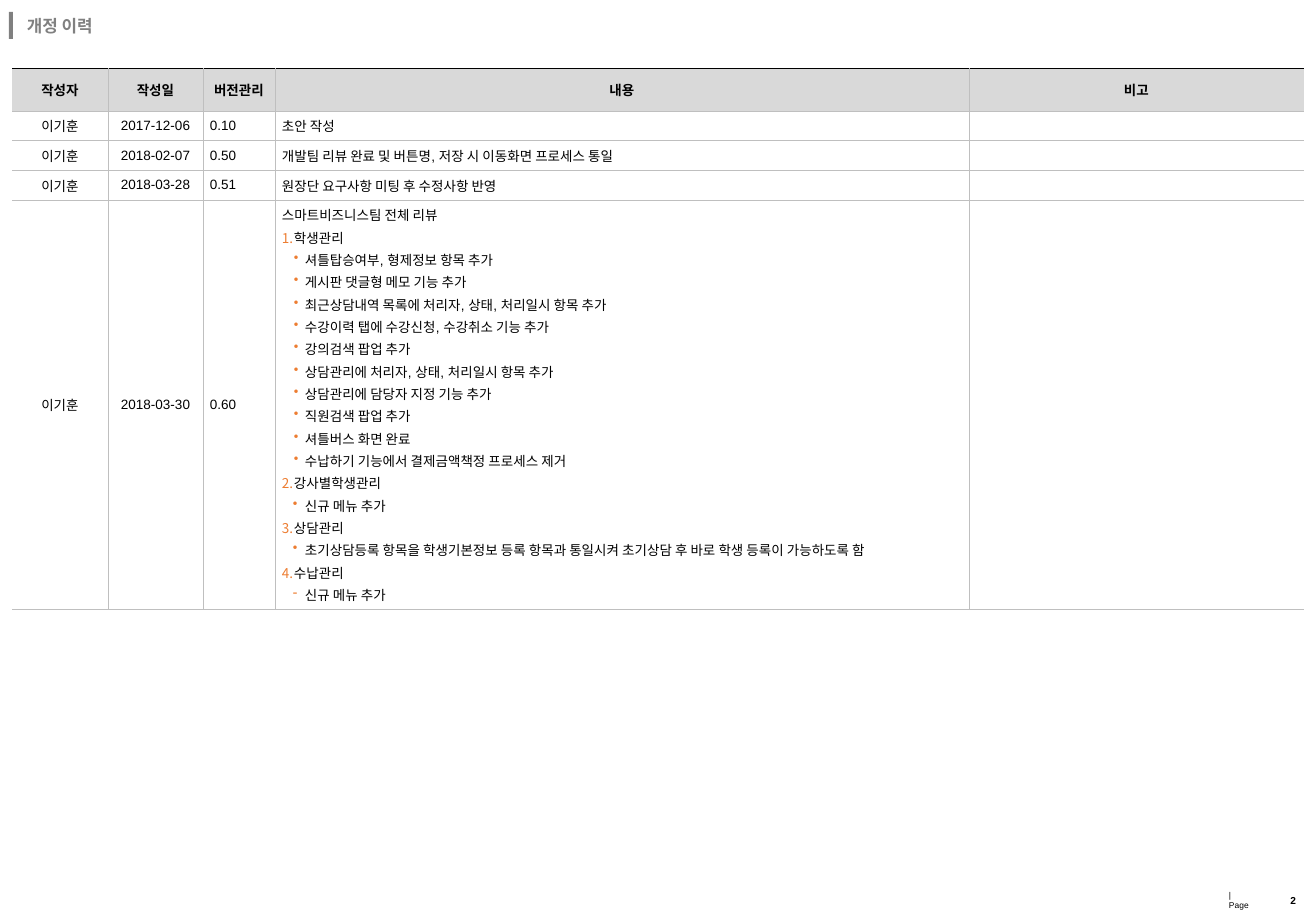
from dataclasses import dataclass
from itertools import chain
from typing import NamedTuple

from lxml import etree
from pptx import Presentation
from pptx import util as u
from pptx.dml.color import RGBColor
from pptx.enum import shapes, text
from pptx.oxml.ns import qn

EMU_PER_PX = 7526
LEFT, CENTER, RIGHT = text.PP_ALIGN.LEFT, text.PP_ALIGN.CENTER, text.PP_ALIGN.RIGHT


@dataclass(frozen=True)
class Theme:
    font: str = "Arial"
    ink: str = "000000"
    heading: str = "808080"
    header_fill: str = "D9D9D9"
    body_fill: str = "FFFFFF"
    rule: str = "BFBFBF"
    accent: str = "ED7D31"
    title_pt: int = 10
    table_pt: int = 8
    number_pt: int = 6
    footer_pt: int = 5
    rule_pt: float = 0.25


THEME = Theme()


class Box(NamedTuple):
    left: int
    top: int
    width: int
    height: int


@dataclass(frozen=True)
class Line:
    words: str
    bullet: str = ""
    number: int = 0
    margin: int = 0
    hang: int = 0


@dataclass(frozen=True)
class Revision:
    author: str
    date: str
    version: str
    content: list[Line]


@dataclass(frozen=True)
class Section:
    name: str
    items: list[str]
    bullet: str = "•"
    hang: int = 12


HEADERS = ["작성자", "작성일", "버전관리", "내용", "비고"]
COLUMN_WIDTHS = [96, 95, 72, 694, 335]
ROW_HEIGHTS = [43, 28, 28, 28, 400]
COLUMN_ALIGNS = [CENTER, CENTER, LEFT, LEFT, LEFT]

SECTIONS = [
    Section("학생관리", [
        "셔틀탑승여부, 형제정보 항목 추가",
        "게시판 댓글형 메모 기능 추가",
        "최근상담내역 목록에 처리자, 상태, 처리일시 항목 추가",
        "수강이력 탭에 수강신청, 수강취소 기능 추가",
        "강의검색 팝업 추가",
        "상담관리에 처리자, 상태, 처리일시 항목 추가",
        "상담관리에 담당자 지정 기능 추가",
        "직원검색 팝업 추가",
        "셔틀버스 화면 완료",
        "수납하기 기능에서 결제금액책정 프로세스 제거",
    ], hang=11),
    Section("강사별학생관리", ["신규 메뉴 추가"]),
    Section("상담관리", [
        "초기상담등록 항목을 학생기본정보 등록 항목과 통일시켜 "
        "초기상담 후 바로 학생 등록이 가능하도록 함",
    ]),
    Section("수납관리", ["신규 메뉴 추가"], bullet="-"),
]


def section_lines(number: int, section: Section) -> list[Line]:
    heading = Line(section.name, number=number, margin=12, hang=12)
    return [heading] + [
        Line(item, section.bullet, margin=23, hang=section.hang) for item in section.items
    ]


REVIEW = [Line("스마트비즈니스팀 전체 리뷰")] + list(
    chain.from_iterable(section_lines(n, s) for n, s in enumerate(SECTIONS, 1))
)
REVISIONS = [
    Revision("이기훈", "2017-12-06", "0.10", [Line("초안 작성")]),
    Revision("이기훈", "2018-02-07", "0.50",
             [Line("개발팀 리뷰 완료 및 버튼명, 저장 시 이동화면 프로세스 통일")]),
    Revision("이기훈", "2018-03-28", "0.51", [Line("원장단 요구사항 미팅 후 수정사항 반영")]),
    Revision("이기훈", "2018-03-30", "0.60", REVIEW),
]


def px(length: int) -> u.Emu:
    return u.Emu(length * EMU_PER_PX)


def place(box: Box) -> list[u.Emu]:
    return [px(length) for length in box]


def set_insets(holder, side: int, end: int) -> None:
    holder.margin_left = holder.margin_right = px(side)
    holder.margin_top = holder.margin_bottom = px(end)


def add_run(paragraph, words: str, size: int, color: str, bold: bool = False) -> None:
    run = paragraph.add_run()
    run.text = words
    run.font.name = THEME.font
    run.font.size = u.Pt(size)
    run.font.bold = bold
    run.font.color.rgb = RGBColor.from_string(color)


def add_xml(parent, tag: str, **attributes: object):
    return etree.SubElement(parent, qn(tag), {k: str(v) for k, v in attributes.items()})


def format_line(paragraph, line: Line) -> None:
    """Set proportional spacing, hanging indent and bullet."""
    props = paragraph._p.get_or_add_pPr()
    add_xml(add_xml(props, "a:spcBef"), "a:spcPct", val=20000)
    if not line.hang:
        return
    props.set("marL", str(px(line.margin)))
    props.set("indent", str(-px(line.hang)))
    add_xml(add_xml(props, "a:buClr"), "a:srgbClr", val=THEME.accent)
    if line.number:
        add_xml(props, "a:buAutoNum", type="arabicPeriod", startAt=line.number)
    else:
        add_xml(props, "a:buChar", char=line.bullet)


def set_borders(cell, colors: dict[str, str | None]) -> None:
    props = cell._tc.get_or_add_tcPr()
    for side, color in colors.items():
        edge = add_xml(props, f"a:ln{side}", w=u.Pt(THEME.rule_pt))
        if color is None:
            add_xml(edge, "a:noFill")
        else:
            add_xml(add_xml(edge, "a:solidFill"), "a:srgbClr", val=color)


def fill_cell(cell, lines: list[Line], align, header: bool) -> None:
    set_insets(cell, 7, 5)
    cell.vertical_anchor = text.MSO_ANCHOR.MIDDLE
    cell.fill.solid()
    cell.fill.fore_color.rgb = RGBColor.from_string(
        THEME.header_fill if header else THEME.body_fill)
    frame = cell.text_frame
    for index, line in enumerate(lines):
        paragraph = frame.add_paragraph() if index else frame.paragraphs[0]
        paragraph.alignment = align
        format_line(paragraph, line)
        add_run(paragraph, line.words, THEME.table_pt, THEME.ink, header)
    if not lines:
        add_xml(frame.paragraphs[0]._p, "a:endParaRPr", sz=THEME.table_pt * 100)


def add_history(slide) -> None:
    rows = [[[Line(name)] for name in HEADERS]] + [
        [[Line(r.author)], [Line(r.date)], [Line(r.version)], r.content, []] for r in REVISIONS
    ]
    box = Box(12, 68, sum(COLUMN_WIDTHS), sum(ROW_HEIGHTS))
    table = slide.shapes.add_table(len(rows), len(HEADERS), *place(box)).table
    table.first_row = table.horz_banding = False
    for column, width in zip(table.columns, COLUMN_WIDTHS):
        column.width = px(width)
    last = len(HEADERS) - 1
    for r, (row, height) in enumerate(zip(rows, ROW_HEIGHTS)):
        table.rows[r].height = px(height)
        header = r == 0
        for c, lines in enumerate(row):
            cell = table.cell(r, c)
            set_borders(cell, {
                "L": THEME.rule if c else None,
                "R": THEME.rule if c < last else None,
                "T": THEME.ink if header else THEME.rule,
                "B": THEME.rule,
            })
            fill_cell(cell, lines, CENTER if header else COLUMN_ALIGNS[c], header)


def add_title(slide, words: str) -> None:
    title = slide.shapes.title
    title.left, title.top, title.width, title.height = place(Box(18, 10, 527, 35))
    frame = title.text_frame
    frame.auto_size = text.MSO_AUTO_SIZE.NONE
    frame.vertical_anchor = text.MSO_ANCHOR.MIDDLE
    set_insets(frame, 9, 5)
    paragraph = frame.paragraphs[0]
    paragraph.alignment = LEFT
    paragraph.line_spacing = 0.9
    add_run(paragraph, words, THEME.title_pt, THEME.heading, True)


def add_label(slide, box: Box, words: str, size: int, side: int, align, bold: bool) -> None:
    frame = slide.shapes.add_textbox(*place(box)).text_frame
    frame.word_wrap = bold
    set_insets(frame, side, 5)
    frame.vertical_anchor = text.MSO_ANCHOR.MIDDLE
    frame.paragraphs[0].alignment = align
    add_run(frame.paragraphs[0], words, size, THEME.ink, bold)


def add_title_bar(slide) -> None:
    bar = slide.shapes.add_shape(shapes.MSO_SHAPE.RECTANGLE, *place(Box(9, 12, 4, 27)))
    bar.shadow.inherit = False
    bar.fill.solid()
    bar.fill.fore_color.rgb = RGBColor.from_string(THEME.heading)
    bar.line.fill.background()


def main() -> None:
    deck = Presentation()
    deck.slide_width, deck.slide_height = px(1316), px(911)
    slide = deck.slides.add_slide(deck.slide_layouts[5])
    add_title_bar(slide)
    add_title(slide, "개정 이력")
    add_history(slide)
    add_label(slide, Box(1224, 890, 36, 20), "|  Page", THEME.footer_pt, 5, LEFT, False)
    add_label(slide, Box(1267, 889, 38, 22), "2", THEME.number_pt, 9, RIGHT, True)
    deck.save("out.pptx")


if __name__ == "__main__":
    main()
